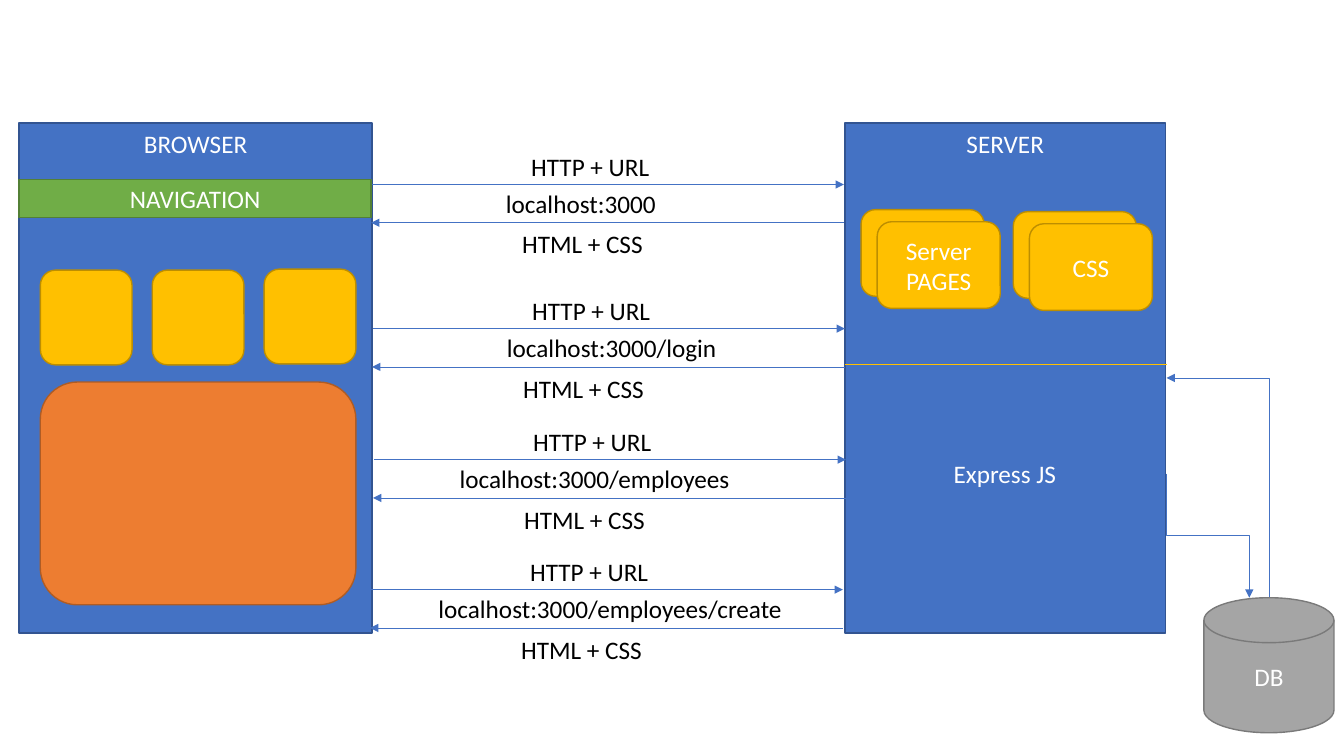
from lxml import etree
from pptx import Presentation
from pptx.dml.color import RGBColor
from pptx.enum.shapes import MSO_CONNECTOR, MSO_SHAPE
from pptx.enum.text import MSO_ANCHOR, MSO_AUTO_SIZE, PP_ALIGN
from pptx.oxml.ns import qn
from pptx.util import Inches, Pt

RECT = MSO_SHAPE.RECTANGLE
ROUND = MSO_SHAPE.ROUNDED_RECTANGLE
DISK = MSO_SHAPE.FLOWCHART_MAGNETIC_DISK
STRAIGHT = MSO_CONNECTOR.STRAIGHT
ELBOW = MSO_CONNECTOR.ELBOW
TOP = MSO_ANCHOR.TOP
MIDDLE = MSO_ANCHOR.MIDDLE
GROW = MSO_AUTO_SIZE.SHAPE_TO_FIT_TEXT
LEFT = PP_ALIGN.LEFT
CENTER = PP_ALIGN.CENTER

WHITE = RGBColor(0xFF, 0xFF, 0xFF)
BLACK = RGBColor(0x00, 0x00, 0x00)
BLUE = RGBColor(0x44, 0x72, 0xC4)
NAVY = RGBColor(0x32, 0x54, 0x91)
GOLD = RGBColor(0xFF, 0xC0, 0x00)
BROWN = RGBColor(0xBD, 0x8E, 0x00)
GREEN = RGBColor(0x70, 0xAD, 0x47)
MOSS = RGBColor(0x53, 0x80, 0x35)
ORANGE = RGBColor(0xED, 0x7D, 0x31)
RUST = RGBColor(0xAF, 0x5C, 0x24)
GRAY = RGBColor(0xA5, 0xA5, 0xA5)
SLATE = RGBColor(0x7A, 0x7A, 0x7A)


class Board:
    font = "Calibri"
    size = Pt(18)

    def __init__(self, slide):
        self.slide = slide

    def put_text(self, frame, text, color, align):
        para = frame.paragraphs[0]
        para.alignment = align
        run = para.add_run()
        run.text = text
        run.font.name = self.font
        run.font.size = self.size
        run.font.color.rgb = color

    def box(self, kind, area, fill, edge, text="", anchor=MIDDLE, group=None):
        home = group or self.slide
        shape = home.shapes.add_shape(kind, *map(Inches, area))
        shape.shadow.inherit = False
        shape.fill.solid()
        shape.fill.fore_color.rgb = fill
        shape.line.color.rgb = edge
        shape.line.width = Pt(1)
        if text:
            shape.text_frame.vertical_anchor = anchor
            self.put_text(shape.text_frame, text, WHITE, CENTER)

    def label(self, x, y, width, text, color=BLACK):
        area = map(Inches, (x, y, width, 0.4))
        frame = self.slide.shapes.add_textbox(*area).text_frame
        frame.word_wrap = False
        frame.auto_size = GROW
        self.put_text(frame, text, color, LEFT)

    def line(self, start, end, color=BLUE, arrow=True, kind=STRAIGHT):
        ends = map(Inches, (*start, *end))
        link = self.slide.shapes.add_connector(kind, *ends)
        link.line.color.rgb = color
        link.line.width = Pt(0.5)
        props = link._element.spPr
        if arrow:
            tail = etree.SubElement(props.find(qn("a:ln")), qn("a:tailEnd"))
            tail.set("type", "triangle")
        etree.SubElement(props, qn("a:effectLst"))
        return props

    def bend(self, start, end, preset):
        mid_x = (start[0] + end[0]) / 2
        mid_y = (start[1] + end[1]) / 2
        turned = [(mid_x + mid_y - y, mid_y + x - mid_x) for x, y in (start, end)]
        props = self.line(*turned, kind=ELBOW)
        props.find(qn("a:xfrm")).set("rot", str(270 * 60000))
        props.find(qn("a:prstGeom")).set("prst", preset)

    def stack(self, x, y, text):
        group = self.slide.shapes.add_group_shape()
        for step, words in ((0, ""), (1, text)):
            area = (x + 0.16 * step, y + 0.12 * step, 1.22, 0.86)
            self.box(ROUND, area, GOLD, BROWN, words, group=group)

    def trade(self, y, shift, url, url_x, width):
        self.line((3.69 + shift, y), (8.37 + shift, y))
        self.label(5.17 + shift, y - 0.38, 1.39, "HTTP + URL")
        self.line((8.37 + shift, y + 0.38), (3.68 + shift, y + 0.38))
        self.label(5.08 + shift, y + 0.39, 1.53, "HTML + CSS")
        self.label(url_x, y - 0.01, width, url)


def main():
    deck = Presentation()
    deck.slide_width = Inches(13.33)
    deck.slide_height = Inches(7.5)
    board = Board(deck.slides.add_slide(deck.slide_layouts[6]))

    board.box(RECT, (8.38, 1.22, 3.18, 5.06), BLUE, NAVY, "SERVER", TOP)
    board.bend((11.57, 4.7), (12.39, 5.93), "bentConnector3")
    board.bend((12.59, 6.38), (11.57, 3.75), "bentConnector2")
    board.line((8.38, 3.61), (11.57, 3.61), GOLD, arrow=False)
    board.box(DISK, (11.94, 5.93, 1.29, 1.34), GRAY, SLATE, "DB")
    board.stack(8.54, 2.08, "Server PAGES")
    board.stack(10.05, 2.1, "CSS")
    board.label(9.36, 4.5, 1.23, "Express JS", WHITE)

    board.box(RECT, (0.19, 1.22, 3.5, 5.06), BLUE, NAVY, "BROWSER", TOP)
    board.box(RECT, (0.19, 1.78, 3.49, 0.38), GREEN, MOSS, "NAVIGATION")
    for col, y in enumerate((2.68, 2.68, 2.67)):
        board.box(ROUND, (0.4 + 1.11 * col, y, 0.91, 0.94), GOLD, BROWN)
    board.box(ROUND, (0.4, 3.79, 3.13, 2.21), ORANGE, RUST)

    trades = (
        (1.83, 0, "", 4.92, 1.7),
        (3.26, 0.01, "/login", 4.93, 2.3),
        (4.56, 0.02, "/employees", 4.46, 2.91),
        (5.85, -0.01, "/employees/create", 4.25, 3.65),
    )
    for y, shift, route, url_x, width in trades:
        board.trade(y, shift, "localhost:3000" + route, url_x, width)

    deck.save("out.pptx")


if __name__ == "__main__":
    main()
